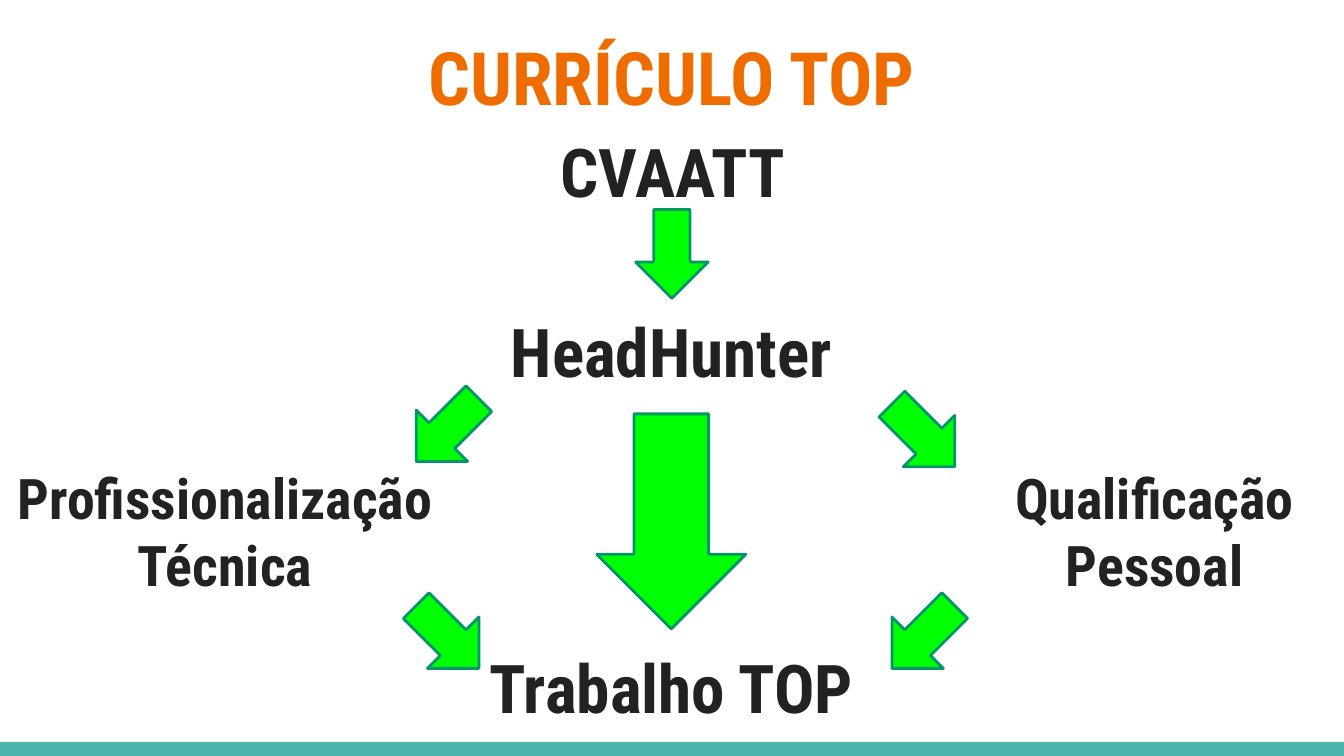
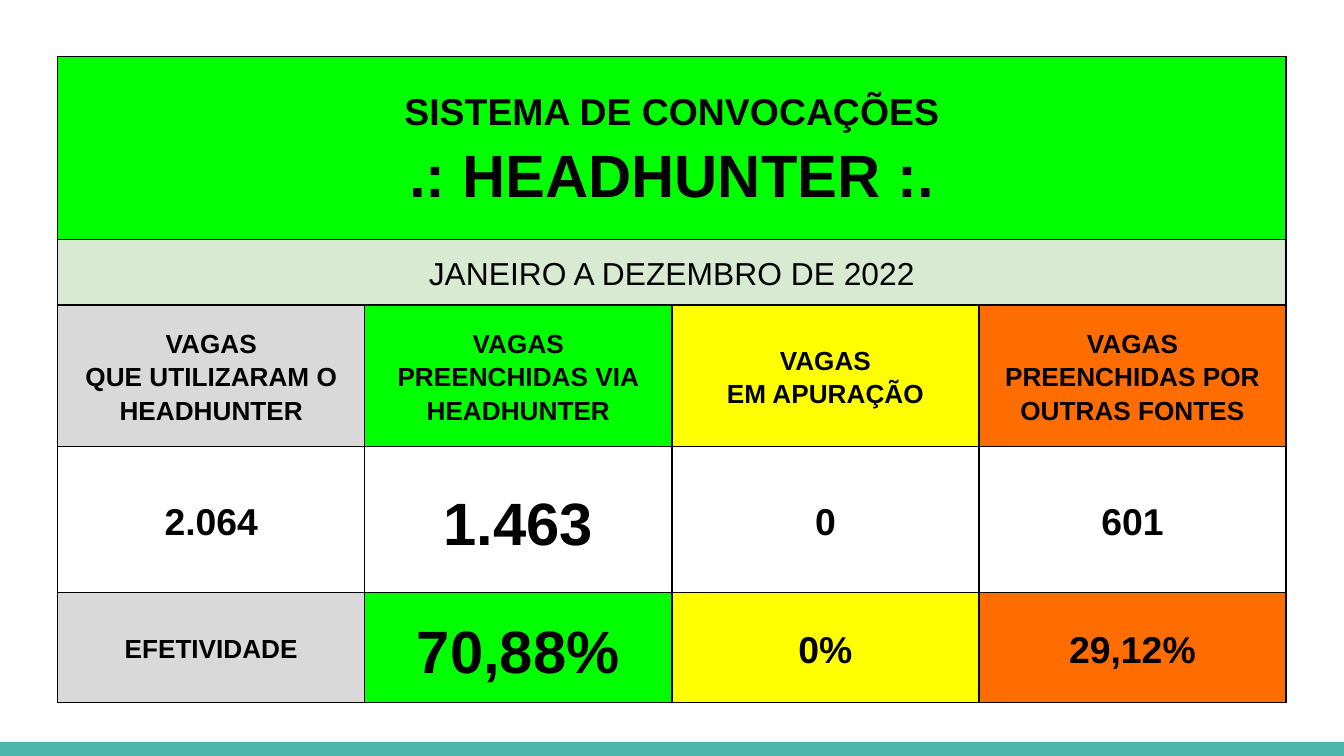
from lxml import etree
from pptx import Presentation
from pptx.dml.color import RGBColor
from pptx.enum.shapes import MSO_SHAPE
from pptx.enum.text import MSO_ANCHOR, PP_ALIGN
from pptx.oxml.ns import qn
from pptx.util import Inches, Pt

WHITE = RGBColor(0xFF, 0xFF, 0xFF)
BLACK = RGBColor(0, 0, 0)
INK = RGBColor(0x22, 0x22, 0x22)
TITLE_ORANGE = RGBColor(0xEF, 0x6C, 0x00)
TEAL = RGBColor(0x4D, 0xB6, 0xAC)
GREEN = RGBColor(0x00, 0xFF, 0x00)
ARROW_EDGE = RGBColor(0x00, 0x96, 0x68)
PALE_GREEN = RGBColor(0xD9, 0xEA, 0xD3)
GREY = RGBColor(0xD9, 0xD9, 0xD9)
YELLOW = RGBColor(0xFF, 0xFF, 0x00)
ORANGE = RGBColor(0xFF, 0x6D, 0x01)

WIDTH = 10
HEIGHT = WIDTH * 9 / 16
BAND_TOP = 5.52
TABLE_WIDTH = 9.14


class Deck:
    display_font = "Roboto Condensed"
    table_font = "Arial"

    def __init__(self):
        self.presentation = Presentation()
        self.presentation.slide_width = Inches(WIDTH)
        self.presentation.slide_height = Inches(HEIGHT)
        self.slide = None

    def new_slide(self):
        """Start a white slide with the teal band at its foot."""
        self.slide = self.presentation.slides.add_slide(self.presentation.slide_layouts[6])
        background = self.slide.background.fill
        background.solid()
        background.fore_color.rgb = WHITE
        self.shape(MSO_SHAPE.RECTANGLE, 0, BAND_TOP, WIDTH, HEIGHT - BAND_TOP, TEAL)

    def shape(self, preset, left, top, width, height, color):
        shape = self.slide.shapes.add_shape(
            preset, Inches(left), Inches(top), Inches(width), Inches(height))
        shape.shadow.inherit = False
        shape.fill.solid()
        shape.fill.fore_color.rgb = color
        shape.line.fill.background()
        return shape

    def arrow(self, left, top, width=0.54, height=0.66, rotation=0):
        arrow = self.shape(MSO_SHAPE.DOWN_ARROW, left, top, width, height, GREEN)
        arrow.rotation = rotation
        arrow.line.color.rgb = ARROW_EDGE
        arrow.line.width = Pt(1.5)

    def label(self, text, left, top, width, height, size=36, color=INK):
        box = self.slide.shapes.add_textbox(
            Inches(left), Inches(top), Inches(width), Inches(height))
        frame = box.text_frame
        frame.word_wrap = True
        frame.margin_left = frame.margin_right = Inches(0.1)
        frame.margin_top = frame.margin_bottom = Inches(0.1)
        frame.text = text
        self.style(frame.paragraphs[0], self.display_font, size, color)

    def style(self, paragraph, font_name, size, color, bold=True):
        paragraph.alignment = PP_ALIGN.CENTER
        font = paragraph.font
        font.name, font.size, font.bold = font_name, Pt(size), bold
        font.color.rgb = color

    def table(self, left, top, column_widths, row_heights):
        table = self.slide.shapes.add_table(
            len(row_heights), len(column_widths), Inches(left), Inches(top),
            Inches(sum(column_widths)), Inches(sum(row_heights))).table
        for column, width in zip(table.columns, column_widths):
            column.width = Inches(width)
        for row, height in zip(table.rows, row_heights):
            row.height = Inches(height)
        for cell in table.iter_cells():
            self.border(cell)
        return table

    def border(self, cell):
        properties = cell._tc.get_or_add_tcPr()
        for side in ("a:lnL", "a:lnR", "a:lnT", "a:lnB"):
            line = etree.SubElement(properties, qn(side), w=str(Pt(0.75)))
            fill = etree.SubElement(line, qn("a:solidFill"))
            etree.SubElement(fill, qn("a:srgbClr"), val=str(BLACK))

    def cell(self, cell, text, sizes, color, bold=True):
        """Fill a cell; sizes holds one font size for each line of text."""
        cell.fill.solid()
        cell.fill.fore_color.rgb = color
        cell.vertical_anchor = MSO_ANCHOR.MIDDLE
        cell.margin_left = cell.margin_right = Inches(0.03)
        cell.margin_top = cell.margin_bottom = Inches(0.02)
        cell.text = text
        for paragraph, size in zip(cell.text_frame.paragraphs, sizes):
            paragraph.line_spacing = 1.15
            self.style(paragraph, self.table_font, size, BLACK, bold)


def resume_flow(deck):
    deck.new_slide()
    deck.label("CURRÍCULO TOP", 0.36, 0.14, 9.27, 0.77, 39.4, TITLE_ORANGE)
    deck.label("CVAATT", 2.66, 0.87, 4.69, 0.81)
    for stage, top in (("HeadHunter", 2.21), ("Trabalho TOP", 4.71)):
        deck.label(stage, 3.21, top, 3.57, 0.81)
    deck.label("Profissionalização Técnica", 0, 3.35, 3.35, 1.21, 30)
    deck.label("Qualificação Pessoal", 7.18, 3.35, 2.82, 1.21, 30)

    deck.arrow(4.73, 1.56)
    deck.arrow(4.44, 3.08, 1.11, 1.6)
    for left, top, rotation in ((3.06, 2.87, 45), (6.6, 2.91, 315),
                                (3.06, 4.41, 315), (6.6, 4.41, 45)):
        deck.arrow(left, top, rotation=rotation)


def headhunter_results(deck):
    deck.new_slide()
    table = deck.table(0.43, 0.42, [TABLE_WIDTH / 4] * 4, [1.36, 0.49, 1.05, 1.09, 0.82])
    for row in (0, 1):
        table.cell(row, 0).merge(table.cell(row, 3))
    deck.cell(table.cell(0, 0), "SISTEMA DE CONVOCAÇÕES\n.: HEADHUNTER :.", (20, 32), GREEN)
    deck.cell(table.cell(1, 0), "JANEIRO A DEZEMBRO DE 2022", (17,), PALE_GREEN, bold=False)

    # heading, count, share, count size, share size, colour
    sources = (
        ("VAGAS\nQUE UTILIZARAM O\nHEADHUNTER", "2.064", "EFETIVIDADE", 20, 14, GREY),
        ("VAGAS\nPREENCHIDAS VIA\nHEADHUNTER", "1.463", "70,88%", 32, 32, GREEN),
        ("VAGAS\nEM APURAÇÃO", "0", "0%", 20, 20, YELLOW),
        ("VAGAS\nPREENCHIDAS POR\nOUTRAS FONTES", "601", "29,12%", 20, 20, ORANGE),
    )
    for column, (heading, count, share, count_size, share_size, color) in enumerate(sources):
        deck.cell(table.cell(2, column), heading, (14,) * 3, color)
        deck.cell(table.cell(3, column), count, (count_size,), WHITE)
        deck.cell(table.cell(4, column), share, (share_size,), color)


def main():
    deck = Deck()
    resume_flow(deck)
    headhunter_results(deck)
    deck.presentation.save("out.pptx")


if __name__ == "__main__":
    main()
